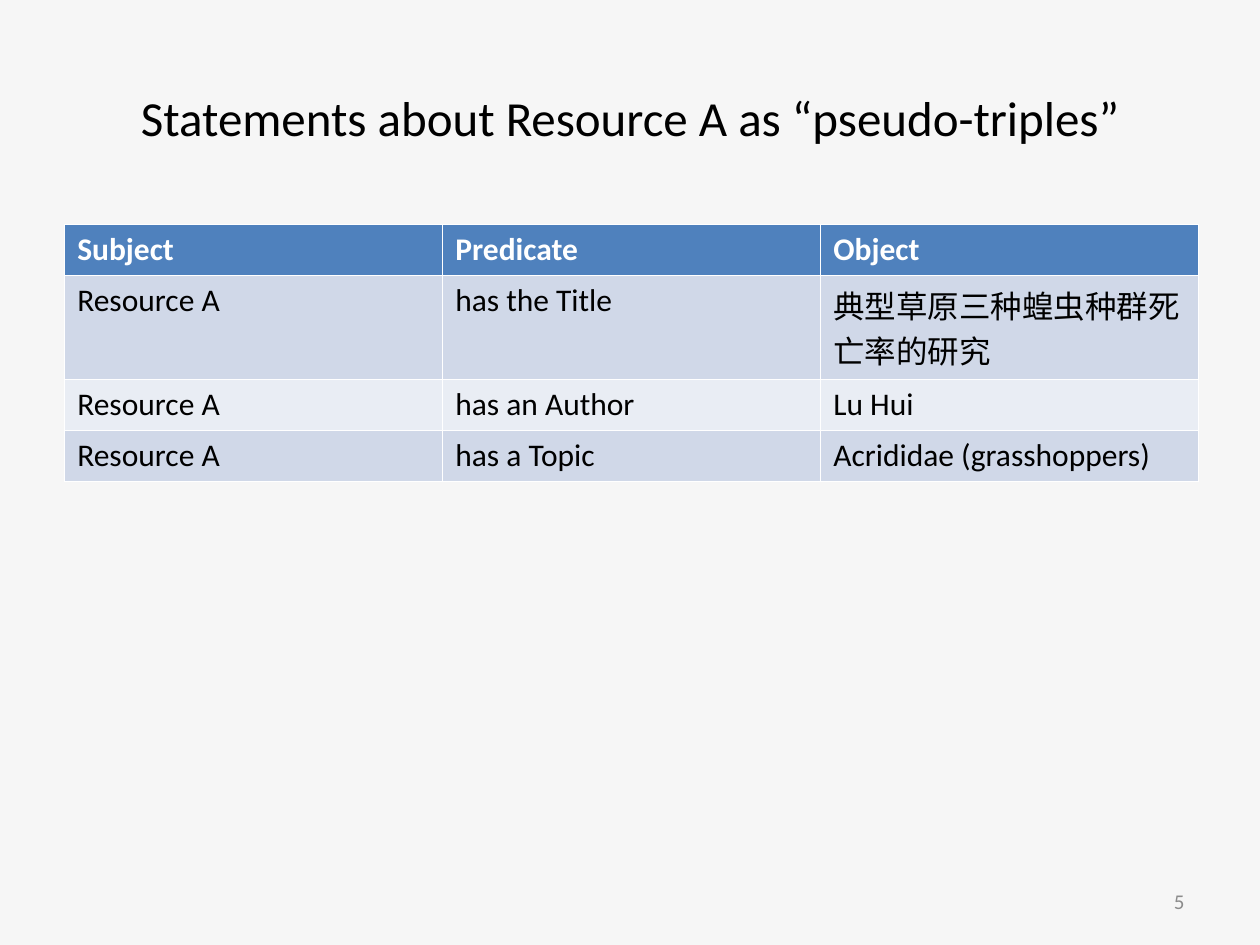
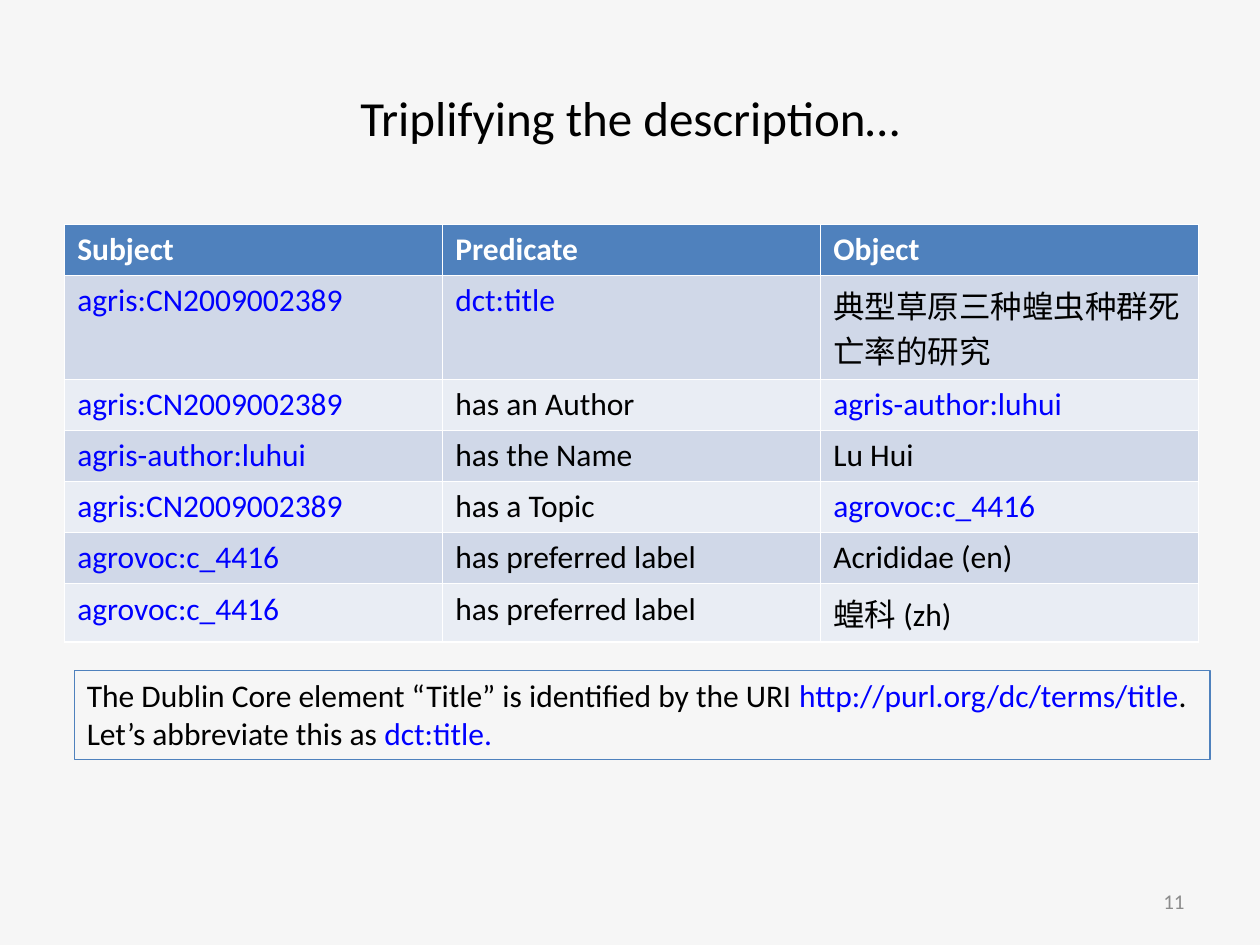
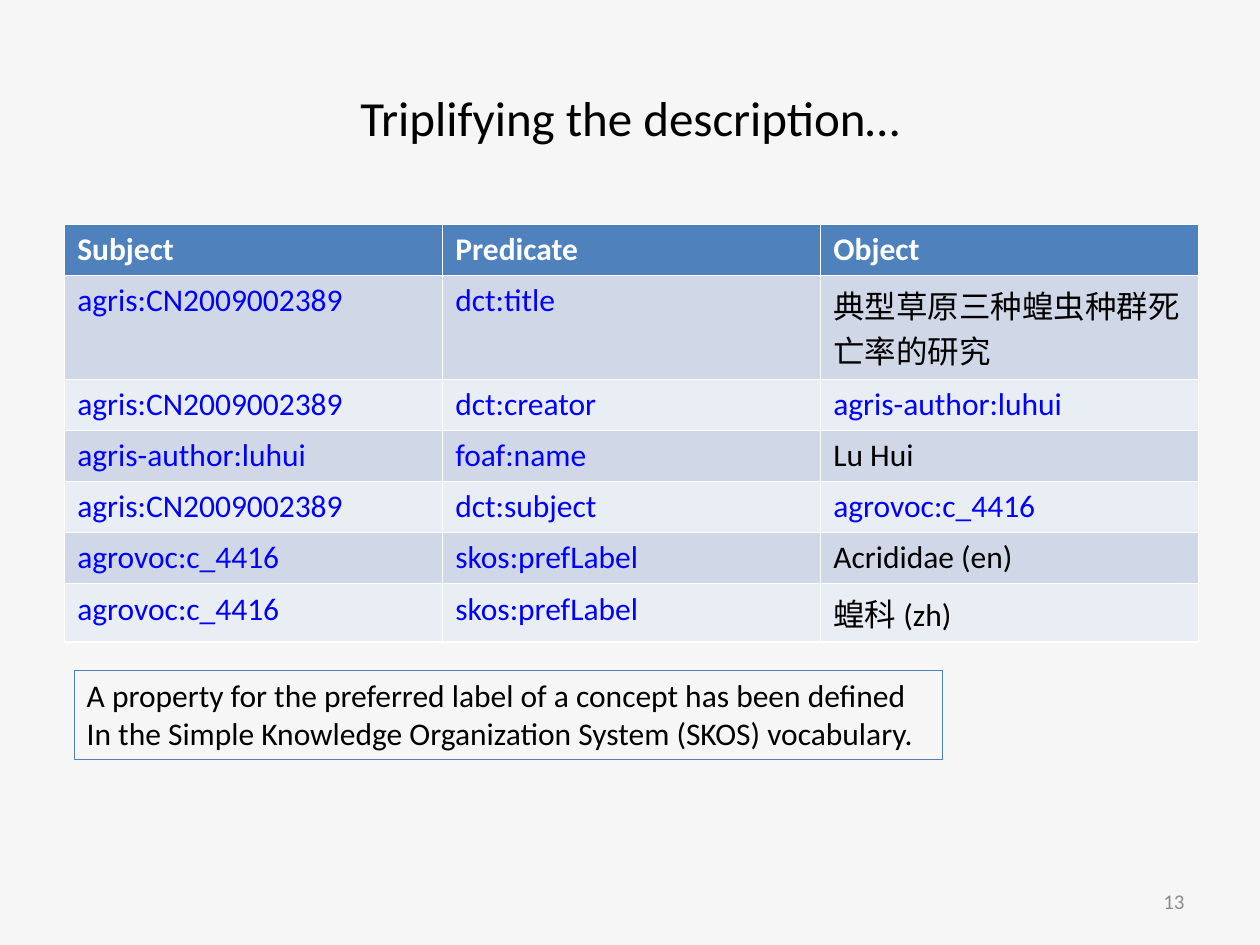
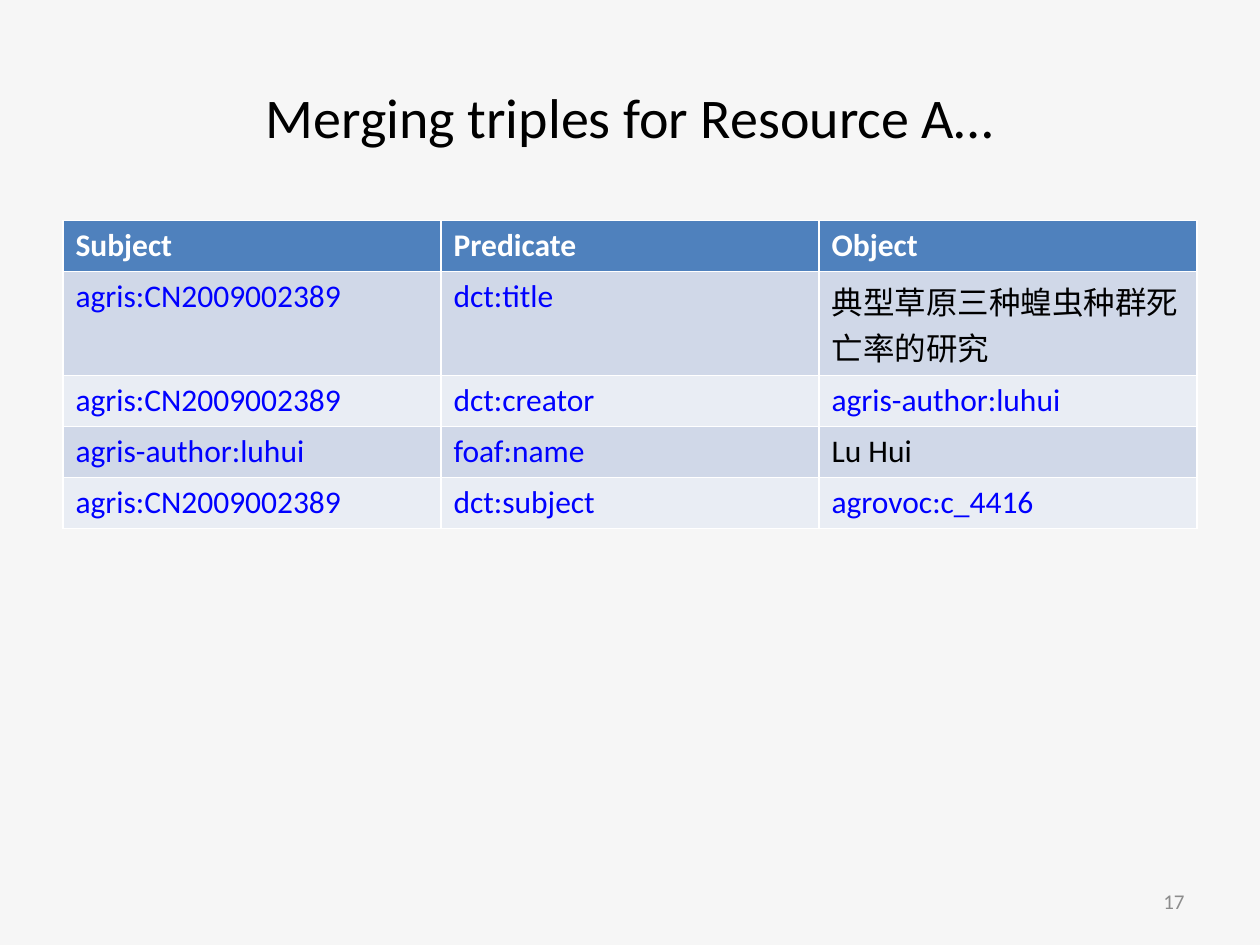
"""Build four slides that turn a resource description into triples."""
from pptx import Presentation
from pptx.dml.color import RGBColor
from pptx.enum import text
from pptx.util import Pt

PAPER = RGBColor(0xF6, 0xF6, 0xF6)
BLACK = RGBColor(0x00, 0x00, 0x00)
WHITE = RGBColor(0xFF, 0xFF, 0xFF)
GRAY = RGBColor(0x8C, 0x8C, 0x8C)
LINK = RGBColor(0x00, 0x00, 0xFF)
ACCENT = RGBColor(0x4F, 0x81, 0xBD)
BANDS = (RGBColor(0xD0, 0xD8, 0xE8), RGBColor(0xE9, 0xED, 0xF4))

HEADER = ("Subject", "Predicate", "Object")
ARTICLE_TITLE = "典型草原三种蝗虫种群死亡率的研究"
ARTICLE = "agris:CN2009002389"
AUTHOR = "agris-author:luhui"
TOPIC = "agrovoc:c_4416"

MERGED = [
    (ARTICLE, "dct:title", ARTICLE_TITLE),
    (ARTICLE, "dct:creator", AUTHOR),
    (AUTHOR, "foaf:name", "Lu Hui"),
    (ARTICLE, "dct:subject", TOPIC),
]

SLIDES = [
    {
        "number": 5,
        "title": "Statements about Resource A as “pseudo-triples”",
        "triples": [
            ("Resource A", "has the Title", ARTICLE_TITLE),
            ("Resource A", "has an Author", "Lu Hui"),
            ("Resource A", "has a Topic", "Acrididae (grasshoppers)"),
        ],
    },
    {
        "number": 11,
        "title": "Triplifying the description…",
        "triples": [
            (ARTICLE, "dct:title", ARTICLE_TITLE),
            (ARTICLE, "has an Author", AUTHOR),
            (AUTHOR, "has the Name", "Lu Hui"),
            (ARTICLE, "has a Topic", TOPIC),
            (TOPIC, "has preferred label", "Acrididae (en)"),
            (TOPIC, "has preferred label", "蝗科 (zh)"),
        ],
        "note_width": 649,
        "note": [
            ["The Dublin Core element “Title” is identified by the URI ",
             "http://purl.org/dc/terms/title", "."],
            ["Let’s abbreviate this as ", "dct:title."],
        ],
    },
    {
        "number": 13,
        "title": "Triplifying the description…",
        "triples": MERGED + [
            (TOPIC, "skos:prefLabel", "Acrididae (en)"),
            (TOPIC, "skos:prefLabel", "蝗科 (zh)"),
        ],
        "note_width": 496,
        "note": [
            ["A property for the preferred label of a concept has been defined"],
            ["In the Simple Knowledge Organization System (SKOS) vocabulary."],
        ],
    },
    {
        "number": 17,
        "title": "Merging triples for Resource A…",
        "title_size": 32,
        "table_at": (36, 126),
        "triples": MERGED,
    },
]

COLUMN_WIDTH = 216
ROW_HEIGHT, TALL_ROW_HEIGHT = 29.2, 50.4


def write(para, words, size=18, color=BLACK, bold=False):
    """Add one formatted span to a paragraph."""
    span = para.add_run()
    span.text = words
    span.font.color.rgb = color
    for name, value in {"name": "Calibri", "size": Pt(size), "bold": bold}.items():
        setattr(span.font, name, value)


def term_color(words):
    """Return the link colour for URIs and prefixed names, else black."""
    return LINK if ":" in words else BLACK


def place(box, left, top, width, height):
    """Set the position and size of a box in points."""
    for name, value in zip(("left", "top", "width", "height"), (left, top, width, height)):
        setattr(box, name, Pt(value))


def add_title(page, words, size):
    """Fill and format the title placeholder."""
    box = page.shapes.title
    place(box, 36, 21.6, 648, 90)
    box.text_frame.vertical_anchor = text.MSO_ANCHOR.MIDDLE
    para = box.text_frame.paragraphs[0]
    para.alignment = text.PP_ALIGN.CENTER
    write(para, words, size)


def add_triples(page, triples, left, top):
    """Add a banded table of subject, predicate and object."""
    rows = [HEADER] + triples
    heights = [TALL_ROW_HEIGHT if ARTICLE_TITLE in row else ROW_HEIGHT for row in rows]
    table = page.shapes.add_table(
        len(rows), len(HEADER), Pt(left), Pt(top),
        Pt(COLUMN_WIDTH * len(HEADER)), Pt(sum(heights))).table
    for column in table.columns:
        column.width = Pt(COLUMN_WIDTH)
    for index, (row, height) in enumerate(zip(rows, heights)):
        table.rows[index].height = Pt(height)
        is_header = index == 0
        for cell, words in zip(table.rows[index].cells, row):
            cell.fill.solid()
            cell.fill.fore_color.rgb = ACCENT if is_header else BANDS[(index - 1) % 2]
            color = WHITE if is_header else term_color(words)
            write(cell.text_frame.paragraphs[0], words, color=color, bold=is_header)


def add_note(page, lines, width):
    """Add an outlined note below the table."""
    box = page.shapes.add_textbox(Pt(42.5), Pt(383), Pt(width), Pt(51))
    box.line.color.rgb = ACCENT
    box.line.width = Pt(0.75)
    frame = box.text_frame
    frame.word_wrap = False
    frame.auto_size = text.MSO_AUTO_SIZE.SHAPE_TO_FIT_TEXT
    for index, line in enumerate(lines):
        para = frame.add_paragraph() if index else frame.paragraphs[0]
        for words in line:
            write(para, words, color=term_color(words))


def add_number(page, number):
    """Add the slide number at the lower right."""
    box = page.shapes.add_textbox(Pt(516), Pt(500.5), Pt(168), Pt(28.75))
    box.text_frame.word_wrap = True
    box.text_frame.vertical_anchor = text.MSO_ANCHOR.MIDDLE
    para = box.text_frame.paragraphs[0]
    para.alignment = text.PP_ALIGN.RIGHT
    write(para, str(number), 12, GRAY)


def main():
    """Build and save the deck."""
    deck = Presentation()
    deck.slide_width, deck.slide_height = Pt(720), Pt(540)
    backdrop = deck.slide_master.background.fill
    backdrop.solid()
    backdrop.fore_color.rgb = PAPER
    for content in SLIDES:
        page = deck.slides.add_slide(deck.slide_layouts.get_by_name("Title Only"))
        add_title(page, content["title"], content.get("title_size", 28))
        add_triples(page, content["triples"], *content.get("table_at", (37, 128.25)))
        add_number(page, content["number"])
        if "note" in content:
            add_note(page, content["note"], content["note_width"])
    deck.save("out.pptx")


if __name__ == "__main__":
    main()
